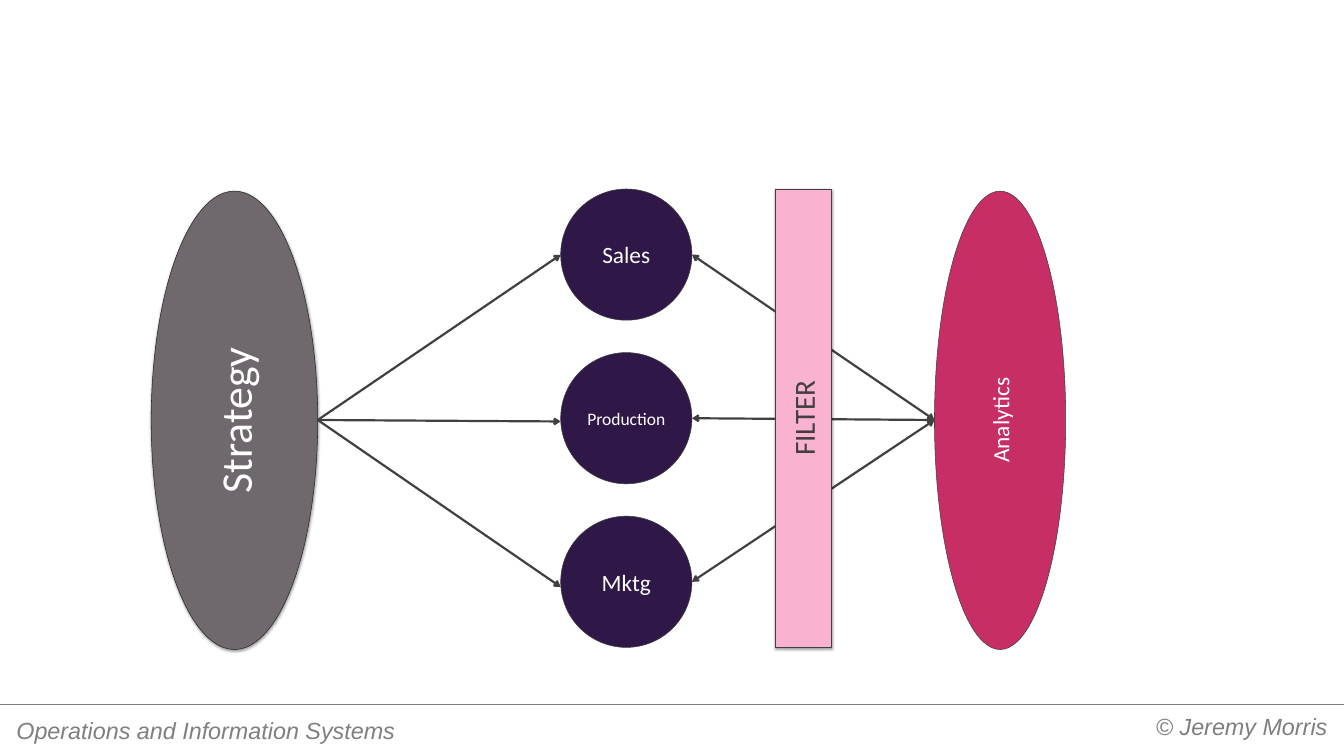
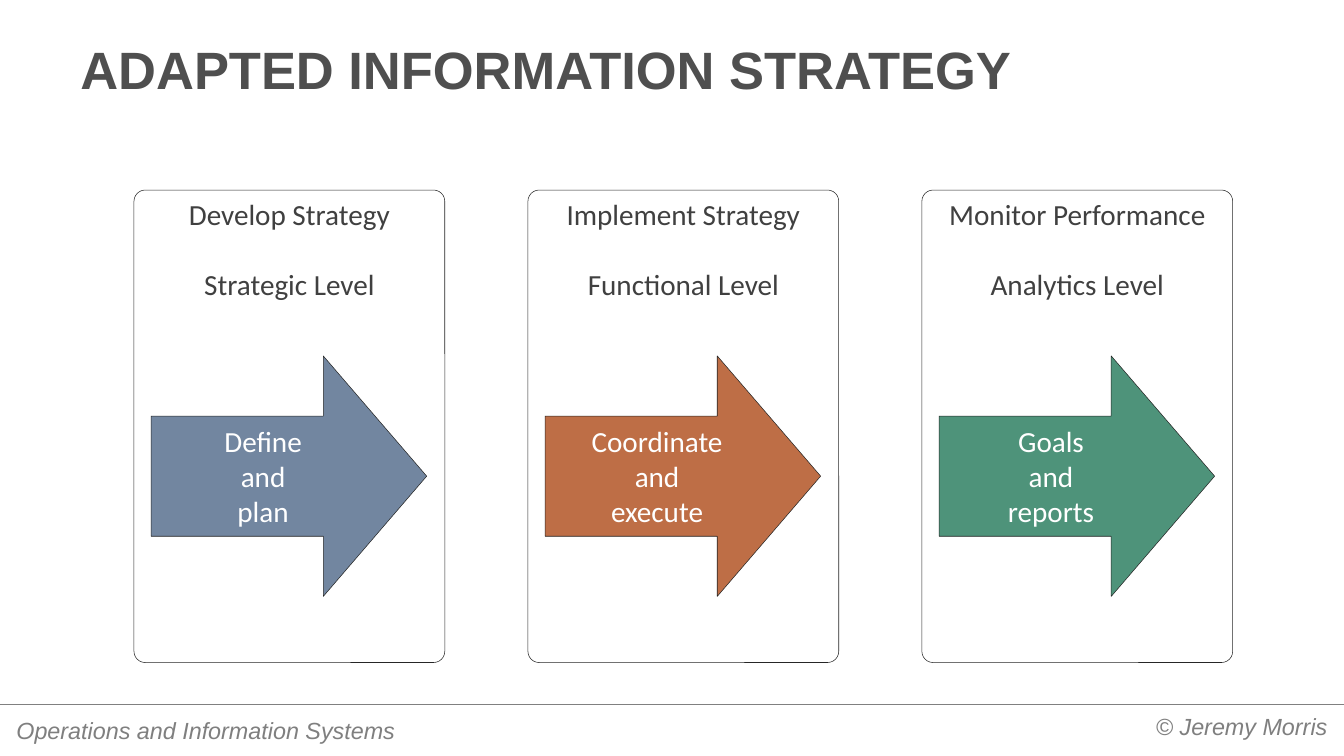
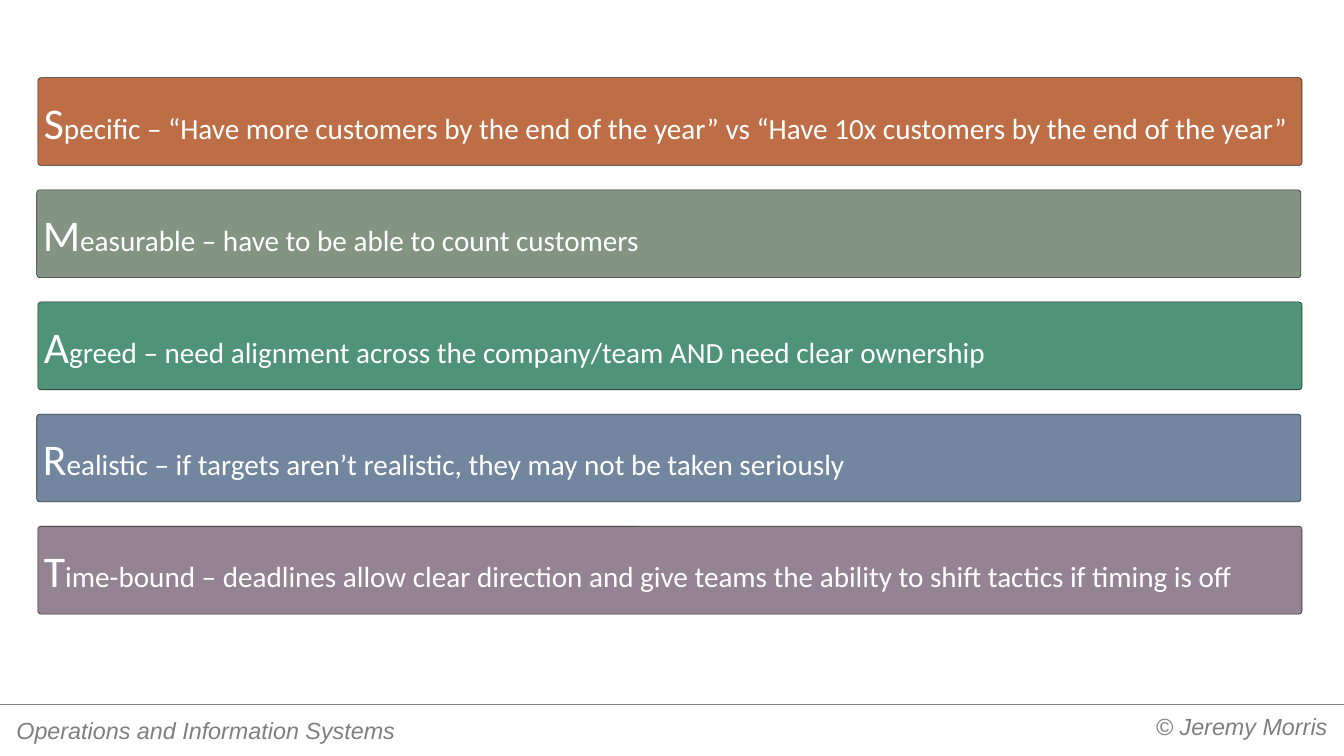
from dataclasses import dataclass

from lxml import etree
from pptx import Presentation
from pptx import util as u
from pptx.dml.color import RGBColor
from pptx.enum import shapes, text
from pptx.oxml.ns import qn


@dataclass(frozen=True)
class Theme:
    heading_font: str = "Arial"
    body_font: str = "Calibri"
    white: str = "FFFFFF"
    ink: str = "404040"
    outline: str = "262626"
    title: str = "4F4F4F"
    footer: str = "7F7F7F"
    rule: str = "808080"
    stone: str = "6F686D"
    purple: str = "2F1847"
    crimson: str = "C62E65"
    pink: str = "F9B3D1"
    blue: str = "7286A0"
    rust: str = "BE6E46"
    green: str = "4E937A"
    sage: str = "849483"
    mauve: str = "948392"
    title_size: int = 72
    large: int = 60
    body: int = 40
    small: int = 32
    tiny: int = 24
    hairline: float = 0.75
    arrow_line: float = 3


T = Theme()
COLUMNS, ROWS = 64, 36
WIDTH, HEIGHT = u.Inches(25.6), u.Inches(14.4)

COURSE = "Operations and Information Systems"
OWNER = "© Jeremy Morris"

DEPARTMENTS = [
    ("Sales", T.small, 12.13),
    ("Production", T.tiny, 20.07),
    ("Mktg", T.small, 27.95),
]

STRATEGY_TITLE = "ADAPTED INFORMATION STRATEGY"
STAGES = [
    ("Develop Strategy", "Strategic Level", ["Define", "and", "plan"], T.blue),
    ("Implement Strategy", "Functional Level", ["Coordinate", "and", "execute"], T.rust),
    ("Monitor Performance", "Analytics Level", ["Goals", "and", "reports"], T.green),
]

GOALS = [
    ("S", "pecific – “Have more customers by the end of the year” vs “Have 10x customers by the end of the year”", T.rust),
    ("M", "easurable – have to be able to count customers", T.sage),
    ("A", "greed – need alignment across the company/team AND need clear ownership", T.green),
    ("R", "ealistic – if targets aren’t realistic, they may not be taken seriously", T.blue),
    ("T", "ime-bound – deadlines allow clear direction and give teams the ability to shift tactics if timing is off", T.mauve),
]

LEFT, CENTER, RIGHT = text.PP_ALIGN.LEFT, text.PP_ALIGN.CENTER, text.PP_ALIGN.RIGHT
TOP, MIDDLE, BOTTOM = text.MSO_ANCHOR.TOP, text.MSO_ANCHOR.MIDDLE, text.MSO_ANCHOR.BOTTOM
KIND = shapes.MSO_SHAPE


def grid(column, row):
    return round(WIDTH * column / COLUMNS), round(HEIGHT * row / ROWS)


def style(font, size, color, name=T.body_font, bold=False, italic=False):
    font.size, font.name = u.Pt(size), name
    font.bold, font.italic = bold, italic
    font.color.rgb = RGBColor.from_string(color)


def write(frame, lines, size, color, align=CENTER, anchor=MIDDLE, gap=0, **look):
    frame.word_wrap = True
    frame.vertical_anchor = anchor
    for index, line in enumerate(lines):
        paragraph = frame.add_paragraph() if index else frame.paragraphs[0]
        paragraph.alignment = align
        if index and gap:
            paragraph.space_before = u.Pt(gap)
        for part in [line] if isinstance(line, str) else line:
            paragraph.add_run().text = part
        style(paragraph.font, size, color, **look)


def add_text(slide, box, line, size, color, inset, **look):
    frame = slide.shapes.add_textbox(*grid(*box[:2]), *grid(*box[2:])).text_frame
    frame.margin_left = frame.margin_right = u.Inches(inset)
    frame.margin_top = frame.margin_bottom = u.Inches(inset / 2)
    write(frame, [line], size, color, name=T.heading_font, **look)


def add_block(slide, kind, box, fill=None, outline=T.outline, adjust=(), shadow=False):
    block = slide.shapes.add_shape(kind, *grid(*box[:2]), *grid(*box[2:]))
    for index, value in enumerate(adjust):
        block.adjustments[index] = value
    if fill:
        block.fill.solid()
        block.fill.fore_color.rgb = RGBColor.from_string(fill)
    else:
        block.fill.background()
    block.line.color.rgb = RGBColor.from_string(outline)
    block.line.width = u.Pt(T.hairline)
    block.shadow.inherit = False
    if shadow:
        effects = block.element.spPr.find(qn("a:effectLst"))
        cast = etree.SubElement(
            effects, qn("a:outerShdw"), blurRad=str(u.Pt(3.1)), dist=str(u.Pt(1.8)),
            dir="5400000", rotWithShape="0")
        black = etree.SubElement(cast, qn("a:srgbClr"), val="000000")
        etree.SubElement(black, qn("a:alpha"), val="35000")
    return block


def turn(block):
    block.text_frame._txBody.bodyPr.set("vert", "vert270")


def add_line(slide, start, end, color, width, heads=()):
    line = slide.shapes.add_connector(
        shapes.MSO_CONNECTOR.STRAIGHT, *grid(*start), *grid(*end))
    line.line.color.rgb = RGBColor.from_string(color)
    line.line.width = u.Pt(width)
    for head in heads:
        etree.SubElement(line.line._ln, qn(head), type="arrow")
    etree.SubElement(line.element.spPr, qn("a:effectLst"))


def new_slide(deck):
    slide = deck.slides.add_slide(deck.slide_layouts[6])
    add_line(slide, (0, 33.53), (COLUMNS, 33.53), T.rule, T.hairline)
    for line, box, align in [
        (OWNER, (36.45, 33.7, 27.22, 3.15), RIGHT),
        (COURSE, (0.33, 33.9, 21.88, 1.8), LEFT),
    ]:
        add_text(slide, box, line, T.small, T.footer, 0.18,
                 align=align, anchor=TOP, italic=True)
    return slide


def filter_slide(deck):
    slide = new_slide(deck)
    top, height, hub = 9, 21.83, 20
    strategy_left, strategy_width = 7.2, 7.93
    circle_left, circle, analytics_left = 26.7, 6.25, 44.5
    step = (height - circle) / (len(DEPARTMENTS) - 1)

    strategy = add_block(slide, KIND.OVAL, (strategy_left, top + 0.1, strategy_width, height),
                         T.stone, shadow=True)
    write(strategy.text_frame, ["Strategy"], T.large, T.white)
    analytics = add_block(slide, KIND.OVAL, (analytics_left, top + 0.1, circle, height),
                          T.crimson, T.ink)
    write(analytics.text_frame, ["Analytics"], T.small, T.white)

    for index, (name, size, entry) in enumerate(DEPARTMENTS):
        row = top + index * step
        department = add_block(slide, KIND.OVAL, (circle_left, row, circle, circle),
                               T.purple, T.ink)
        write(department.text_frame, [name], size, T.white)
        add_line(slide, (strategy_left + strategy_width, hub), (circle_left, entry),
                 T.ink, T.arrow_line, ["a:tailEnd"])
        add_line(slide, (circle_left + circle, row + circle / 2), (analytics_left, hub),
                 T.ink, T.arrow_line, ["a:headEnd", "a:tailEnd"])

    sieve = add_block(slide, KIND.RECTANGLE, (36.9, top, 2.7, height),
                      T.pink, T.ink, shadow=True)
    write(sieve.text_frame, ["FILTER"], T.body, T.ink)
    for block in (strategy, analytics, sieve):
        turn(block)


def stages_slide(deck):
    slide = new_slide(deck)
    add_text(slide, (3.2, 1.33, 57.6, 3.73), STRATEGY_TITLE, T.title_size, T.title, 0.25,
             align=LEFT, anchor=BOTTOM, bold=True)
    for index, (stage, level, actions, color) in enumerate(STAGES):
        left = 6.38 + index * 18.76
        card = add_block(slide, KIND.ROUNDED_RECTANGLE, (left, 9.05, 14.8, 22.5),
                         adjust=[0.036])
        write(card.text_frame, [stage, level], T.body, T.ink, anchor=TOP, gap=48)
        arrow = add_block(slide, KIND.RIGHT_ARROW, (left + 0.82, 16.95, 13.12, 11.45),
                          color, adjust=[0.5, 0.43])
        write(arrow.text_frame, actions, T.body, T.white)


def goals_slide(deck):
    slide = new_slide(deck)
    for index, (initial, rest, color) in enumerate(GOALS):
        left = 1.75 if index % 2 else 1.8
        goal = add_block(slide, KIND.ROUNDED_RECTANGLE, (left, 3.7 + index * 5.34, 60.2, 4.18),
                         color, adjust=[0.036])
        write(goal.text_frame, [(initial, rest)], T.body, T.white, align=LEFT)
        goal.text_frame.paragraphs[0].runs[0].font.size = u.Pt(T.large)


def main():
    deck = Presentation()
    deck.slide_width, deck.slide_height = WIDTH, HEIGHT
    for build in (filter_slide, stages_slide, goals_slide):
        build(deck)
    deck.save("out.pptx")


if __name__ == "__main__":
    main()
